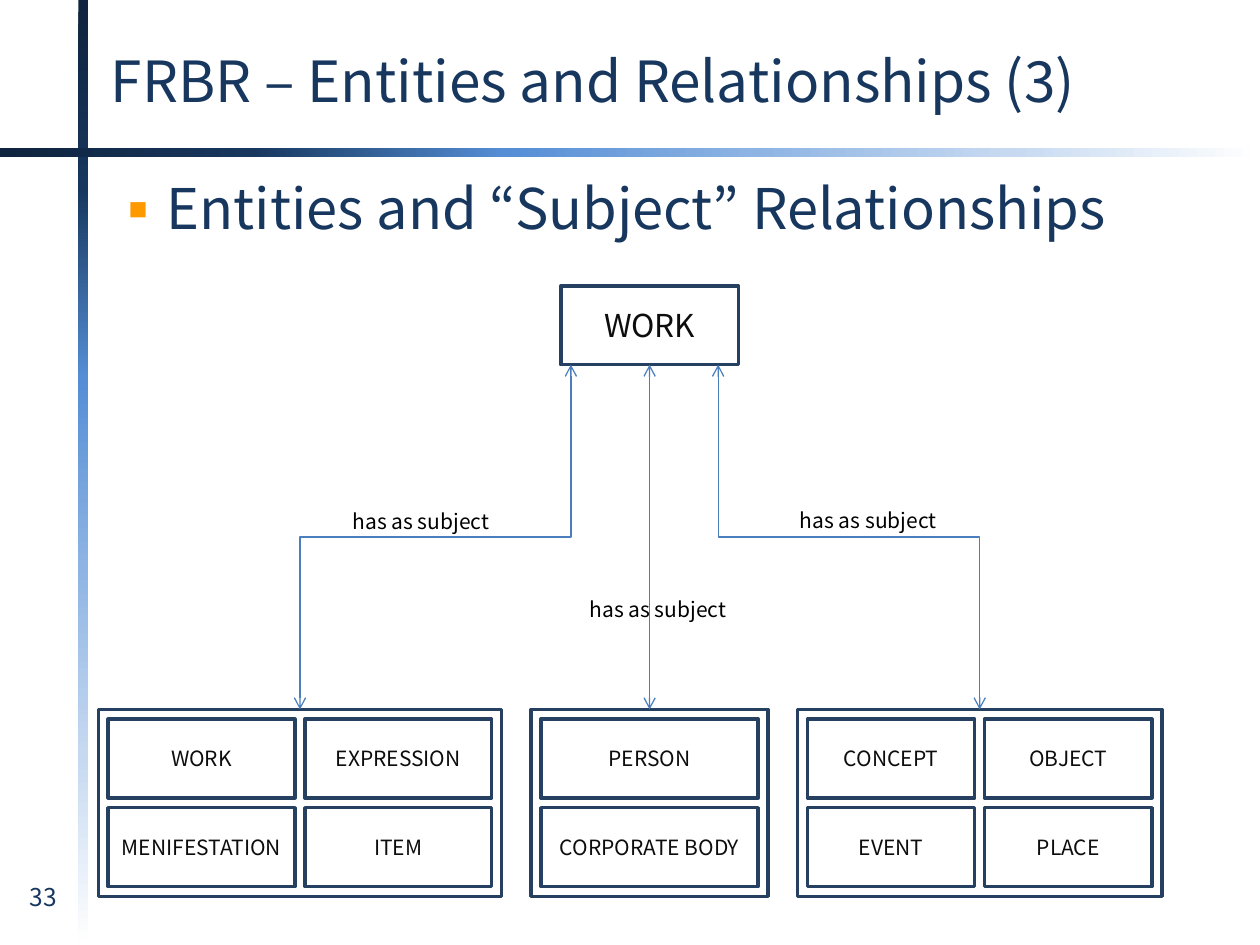
from lxml import etree
from pptx import Presentation
from pptx.dml.color import RGBColor
from pptx.enum.shapes import MSO_CONNECTOR, MSO_SHAPE
from pptx.enum.text import MSO_ANCHOR, MSO_AUTO_SIZE, PP_ALIGN
from pptx.oxml.ns import qn
from pptx.util import Pt

RECTANGLE = MSO_SHAPE.RECTANGLE
STRAIGHT, ELBOW = MSO_CONNECTOR.STRAIGHT, MSO_CONNECTOR.ELBOW
LEFT, CENTER = PP_ALIGN.LEFT, PP_ALIGN.CENTER
TOP, MIDDLE = MSO_ANCHOR.TOP, MSO_ANCHOR.MIDDLE
NO_AUTOFIT = MSO_AUTO_SIZE.NONE

FONT = "Noto Sans CJK KR"
COLORS = {"heading": "17375E", "bullet": "FF9900", "border": "254061",
          "box_text": "0D0D0D", "label": "000000", "arrow": "4B7EBC"}
GRADIENT = [(0, "0F243E"), (20, "17375E"), (40, "558ED5"),
            (60, "8EB4E3"), (80, "C6D9F1"), (100, "FFFFFF")]

TITLE = "FRBR – Entities and Relationships (3)"
HEADING = "Entities and “Subject” Relationships"
PAGE_NUMBER = "33"
ROOT = "WORK"
RELATION = "has as subject"
BARS = [((44.8, 0, 5.6, 540), 270), ((0, 84.4, 720, 5.6), 0)]
GROUPS = [
    {"width": 230.4, "rows": [["WORK", "EXPRESSION"], ["MENIFESTATION", "ITEM"]]},
    {"width": 135.4, "rows": [["PERSON"], ["CORPORATE BODY"]]},
    {"width": 208.1, "rows": [["CONCEPT", "OBJECT"], ["EVENT", "PLACE"]]},
]
ARROW_STARTS = [326.2, 371.2, 410.4]
LABEL_POSITIONS = [(194.4, 287.3), (329.8, 337.4), (450, 286.6)]

GROUP_LEFT, GROUP_TOP, GROUP_GAP = 56.2, 405.4, 16.9
PADDING, BOX_HEIGHT = 5.6, 45
ROOT_TOP, ROOT_WIDTH = 163.4, 101.5


def points(*values):
    return [Pt(round(value, 2)) for value in values]


def write(shape, text, size, color, align=LEFT, anchor=TOP, wrap=True):
    frame = shape.text_frame
    settings = {"auto_size": NO_AUTOFIT, "word_wrap": wrap, "vertical_anchor": anchor}
    for name, value in settings.items():
        setattr(frame, name, value)
    paragraph = frame.paragraphs[0]
    paragraph.alignment = align
    run = paragraph.add_run()
    run.text = text
    for name, value in {"name": FONT, "size": Pt(size)}.items():
        setattr(run.font, name, value)
    run.font.color.rgb = RGBColor.from_string(COLORS[color])
    return paragraph


def add_text(slide, area, text, size, color, **settings):
    return write(slide.shapes.add_textbox(*points(*area)), text, size, color, **settings)


def add_bar(slide, area, angle):
    bar = slide.shapes.add_shape(RECTANGLE, *points(*area))
    bar.shadow.inherit = False
    bar.line.fill.background()
    bar.fill.gradient()
    bar.fill.gradient_angle = angle
    stops = bar._element.spPr.find(".//" + qn("a:gsLst"))
    for stop in list(stops):
        stops.remove(stop)
    for position, color in GRADIENT:
        stop = etree.SubElement(stops, qn("a:gs"), pos=str(position * 1000))
        etree.SubElement(stop, qn("a:srgbClr"), val=color)


def add_box(slide, area, text="", size=12):
    box = slide.shapes.add_shape(RECTANGLE, *points(*area))
    box.shadow.inherit = False
    box.fill.background()
    box.line.color.rgb = RGBColor.from_string(COLORS["border"])
    box.line.width = Pt(2)
    if text:
        write(box, text, size, "box_text", align=CENTER, anchor=MIDDLE, wrap=False)
    return box


def add_group(slide, left, width, rows):
    columns = len(rows[0])
    box_width = (width - PADDING * (columns + 1)) / columns
    for row, names in enumerate(rows):
        for column, name in enumerate(names):
            add_box(slide, (left + PADDING + column * (box_width + PADDING),
                            GROUP_TOP + PADDING + row * (BOX_HEIGHT + PADDING),
                            box_width, BOX_HEIGHT), name)
    height = PADDING * (len(rows) + 1) + BOX_HEIGHT * len(rows)
    return add_box(slide, (left, GROUP_TOP, width, height))


def add_arrow(slide, root, group, start, end):
    top = ROOT_TOP + BOX_HEIGHT
    if start == end:
        arrow = slide.shapes.add_connector(STRAIGHT, *points(start, top, end, GROUP_TOP))
        arrow.begin_connect(root, 2)
        arrow.end_connect(group, 0)
    else:
        side = 1 if end > start else -1
        middle_x, middle_y = (start + end) / 2, (top + GROUP_TOP) / 2
        half_run, half_rise = (GROUP_TOP - top) / 2, abs(end - start) / 2
        arrow = slide.shapes.add_connector(ELBOW, *points(
            middle_x + side * half_run, middle_y - half_rise,
            middle_x - side * half_run, middle_y + half_rise))
        rotation = 270 if side > 0 else 90
        arrow._element.spPr.find(qn("a:xfrm")).set("rot", str(rotation * 60000))
    arrow.line.color.rgb = RGBColor.from_string(COLORS["arrow"])
    arrow.line.width = Pt(0.75)
    properties = arrow._element.spPr
    for tag in ("a:headEnd", "a:tailEnd"):
        etree.SubElement(properties.find(qn("a:ln")), qn(tag), type="arrow")
    etree.SubElement(properties, qn("a:effectLst"))


def add_bullet(paragraph):
    properties = paragraph._p.get_or_add_pPr()
    for name, value in {"marL": Pt(27), "indent": -Pt(27)}.items():
        properties.set(name, str(int(value)))
    color = etree.SubElement(properties, qn("a:buClr"))
    etree.SubElement(color, qn("a:srgbClr"), val=COLORS["bullet"])
    etree.SubElement(properties, qn("a:buFont"), typeface=FONT)
    etree.SubElement(properties, qn("a:buChar"), char="▪")


def main():
    """Build the slide on FRBR entities and their subject relationships."""
    presentation = Presentation()
    presentation.slide_width, presentation.slide_height = points(720, 540)
    slide = presentation.slides.add_slide(presentation.slide_layouts[5])
    for area, angle in BARS:
        add_bar(slide, area, angle)
    title = slide.shapes.title
    title.left, title.top, title.width, title.height = points(56.2, 11.5, 579.6, 67.7)
    write(title, TITLE, 32.4, "heading", anchor=MIDDLE)
    add_bullet(add_text(slide, (56.2, 95.8, 648, 60), HEADING, 32, "heading"))
    add_text(slide, (4.3, 500.4, 41, 28.8), PAGE_NUMBER, 14, "heading", align=CENTER)

    middle = ARROW_STARTS[1]
    root = add_box(slide, (middle - ROOT_WIDTH / 2, ROOT_TOP, ROOT_WIDTH, BOX_HEIGHT),
                   ROOT, 18)
    left = GROUP_LEFT
    for group, start in zip(GROUPS, ARROW_STARTS):
        frame = add_group(slide, left, **group)
        add_arrow(slide, root, frame, start, round(left + group["width"] / 2, 2))
        left += group["width"] + GROUP_GAP
    for position in LABEL_POSITIONS:
        add_text(slide, (*position, 92.2, 21.6), RELATION, 12, "label", wrap=False)
    presentation.save("out.pptx")


if __name__ == "__main__":
    main()
